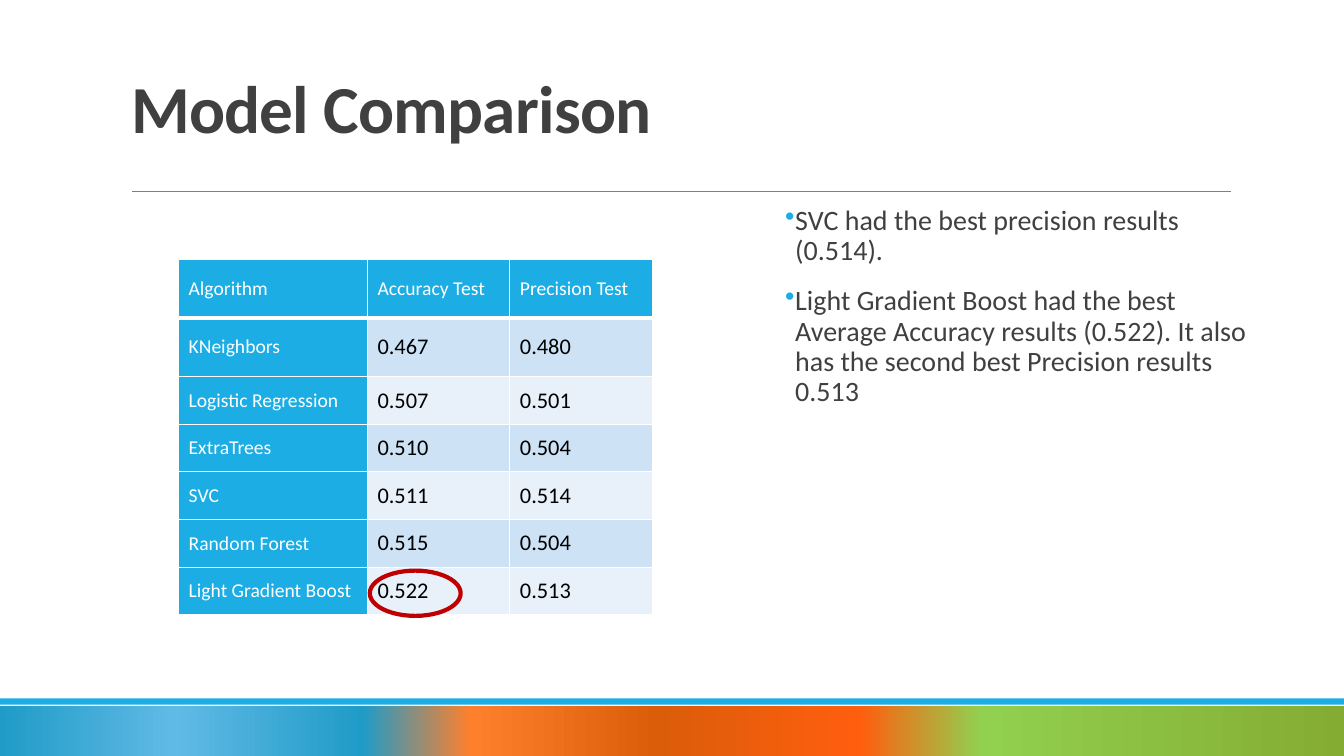
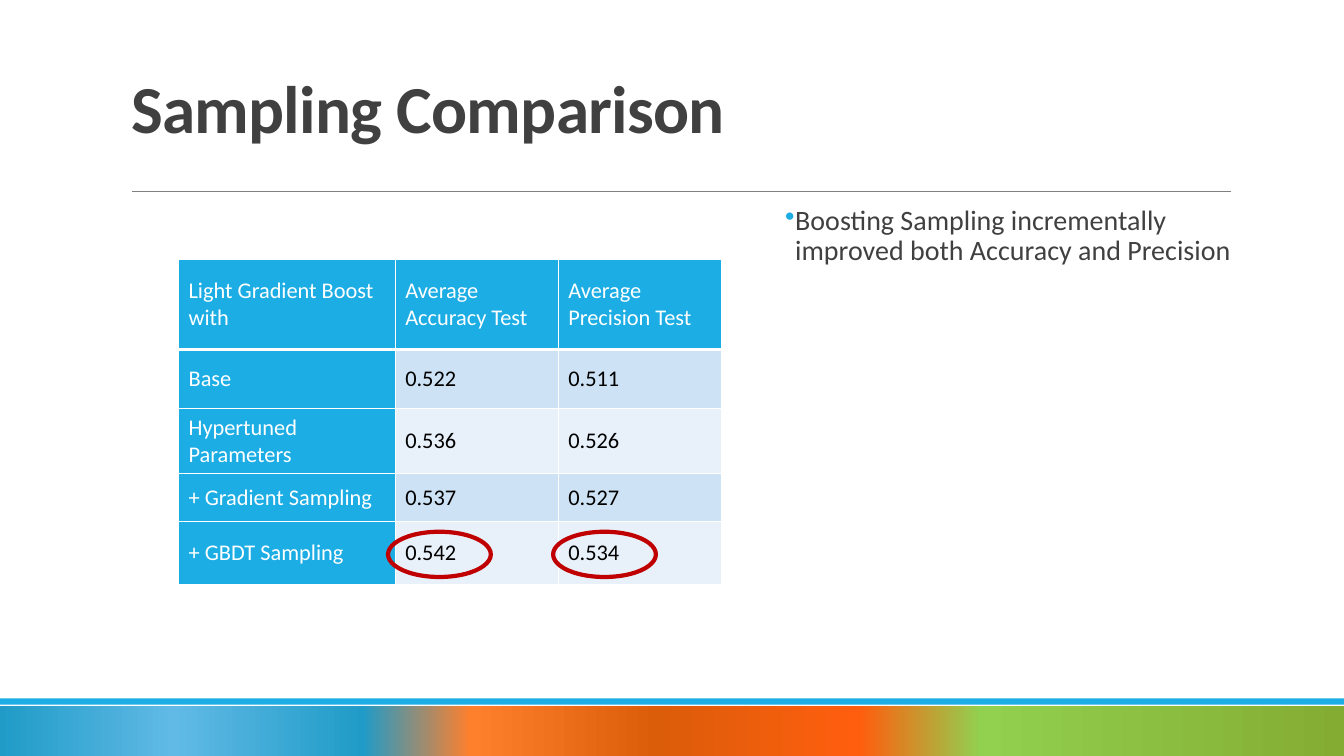
import pptx
import pptx.dml.color
import pptx.enum.shapes
import pptx.enum.text
import pptx.oxml.ns
import pptx.util
from lxml import etree

Cm, Pt = pptx.util.Cm, pptx.util.Pt
RGBColor = pptx.dml.color.RGBColor
SHAPE = pptx.enum.shapes.MSO_SHAPE
ANCHOR = pptx.enum.text.MSO_ANCHOR
qn = pptx.oxml.ns.qn

# Shared style
FONT = "Calibri"
WHITE = RGBColor(0xFF, 0xFF, 0xFF)
BLACK = RGBColor(0x00, 0x00, 0x00)
DARK = RGBColor(0x40, 0x40, 0x40)
GRAY = RGBColor(0x80, 0x80, 0x80)
BLUE = RGBColor(0x1C, 0xAD, 0xE4)
BAND_DARK = RGBColor(0xCD, 0xE3, 0xF5)
BAND_LIGHT = RGBColor(0xE8, 0xF1, 0xFA)
RED = RGBColor(0xC0, 0x00, 0x00)
FOOTER_STOPS = [
    (0, RGBColor(0x84, 0xAC, 0x32)), (27, RGBColor(0x92, 0xD0, 0x50)),
    (36, RGBColor(0xFF, 0x5E, 0x0E)), (51, RGBColor(0xDB, 0x5D, 0x0A)),
    (65, RGBColor(0xFE, 0x80, 0x2D)), (73, RGBColor(0x20, 0x9B, 0xC7)),
    (87, RGBColor(0x61, 0xBA, 0xE6)), (100, RGBColor(0x20, 0x9B, 0xC7)),
]
SLIDE_W, SLIDE_H = Cm(33.87), Cm(19.05)
TABLE_LEFT, TABLE_TOP = Cm(4.5), Cm(6.53)

# Content
MODEL_ROWS = [
    ("Algorithm", "Accuracy Test", "Precision Test"),
    ("KNeighbors", "0.467", "0.480"),
    ("Logistic Regression", "0.507", "0.501"),
    ("ExtraTrees", "0.510", "0.504"),
    ("SVC", "0.511", "0.514"),
    ("Random Forest", "0.515", "0.504"),
    ("Light Gradient Boost", "0.522", "0.513"),
]
MODEL_NOTES = [
    "SVC had the best precision results (0.514).",
    "Light Gradient Boost had the best Average Accuracy results (0.522). "
    "It also has the second best Precision results 0.513",
]
SAMPLING_ROWS = [
    ("Light Gradient Boost\nwith", "Average Accuracy Test",
     "Average\nPrecision Test"),
    ("Base", "0.522", "0.511"),
    ("Hypertuned Parameters", "0.536", "0.526"),
    ("+ Gradient Sampling", "0.537", "0.527"),
    ("+ GBDT Sampling", "0.542", "0.534"),
]
SAMPLING_NOTES = [
    "Boosting Sampling incrementally improved both Accuracy and Precision",
]


def format_runs(tf, size, color, bold=False):
    for p in tf.paragraphs:
        for r in p.runs:
            r.font.name = FONT
            r.font.size = Pt(size)
            r.font.bold = bold
            r.font.color.rgb = color


def add_solid(parent, color):
    fill = etree.SubElement(parent, qn("a:solidFill"))
    etree.SubElement(fill, qn("a:srgbClr"), val=str(color))


def add_bar(s, top, height):
    sp = s.shapes.add_shape(SHAPE.RECTANGLE, 0, top, SLIDE_W, height)
    sp.shadow.inherit = False
    sp.line.fill.background()
    return sp


def add_frame(s):
    # Multicolour footer, its blue edge and the rule below the title
    footer = add_bar(s, Cm(17.78), Cm(1.27))
    footer.fill.gradient()
    footer.fill.gradient_angle = 180
    stops = footer.element.spPr.find(".//" + qn("a:gsLst"))
    for gs in list(stops):
        stops.remove(gs)
    for percent, color in FOOTER_STOPS:
        gs = etree.SubElement(stops, qn("a:gs"), pos=str(percent * 1000))
        etree.SubElement(gs, qn("a:srgbClr"), val=str(color))

    edge = add_bar(s, Cm(17.6), Cm(0.16))
    edge.fill.solid()
    edge.fill.fore_color.rgb = BLUE

    rule = s.shapes.add_connector(pptx.enum.shapes.MSO_CONNECTOR.STRAIGHT,
                                  Cm(3.33), Cm(4.83), Cm(31.01), Cm(4.83))
    rule.line.color.rgb = GRAY
    rule.line.width = Pt(0.5)
    etree.SubElement(rule.element.spPr, qn("a:effectLst"))


def set_title(s, text):
    sp = s.shapes.title
    sp.left, sp.top, sp.width, sp.height = Cm(3.05), Cm(0.79), Cm(27.94), Cm(3.05)
    tf = sp.text_frame
    tf.text = text
    tf.word_wrap = True
    tf.auto_size = pptx.enum.text.MSO_AUTO_SIZE.NONE
    tf.vertical_anchor = ANCHOR.BOTTOM
    p = tf.paragraphs[0]
    p.alignment = pptx.enum.text.PP_ALIGN.LEFT
    p.line_spacing = 0.85
    format_runs(tf, 48, DARK, bold=True)
    p.runs[0].font._element.set("spc", "-50")


def set_borders(cell, is_header):
    tcPr = cell._tc.get_or_add_tcPr()
    for side in "LRTB":
        width = Pt(3) if is_header and side == "B" else Pt(1)
        ln = etree.SubElement(tcPr, qn("a:ln" + side), w=str(width))
        add_solid(ln, WHITE)


def add_results_table(s, rows, col_widths, row_heights, label_size):
    """Lengths are in centimetres; labels fill the first row and column."""
    frame = s.shapes.add_table(len(rows), len(col_widths), TABLE_LEFT, TABLE_TOP,
                               Cm(sum(col_widths)), Cm(sum(row_heights)))
    table = frame.table
    table.first_col = True
    for col, width in zip(table.columns, col_widths):
        col.width = Cm(width)
    for i, (values, height) in enumerate(zip(rows, row_heights)):
        table.rows[i].height = Cm(height)
        for j, value in enumerate(values):
            cell = table.cell(i, j)
            cell.text_frame.text = value
            cell.vertical_anchor = ANCHOR.MIDDLE
            set_borders(cell, i == 0)
            cell.fill.solid()
            if i == 0 or j == 0:
                cell.fill.fore_color.rgb = BLUE
                format_runs(cell.text_frame, label_size, WHITE)
            else:
                cell.fill.fore_color.rgb = BAND_DARK if i % 2 else BAND_LIGHT
                format_runs(cell.text_frame, 16, BLACK)


def add_bullets(s, lines):
    sp = s.shapes.add_textbox(Cm(19.79), Cm(5.08), Cm(11.76), Cm(12.09))
    tf = sp.text_frame
    tf.text = "\n".join(lines)
    tf.word_wrap = True
    tf.margin_left = tf.margin_right = 0
    for p in tf.paragraphs:
        p.line_spacing = 0.9
        p.space_before, p.space_after = Pt(12), Pt(2)
        pPr = p._p.get_or_add_pPr()
        pPr.set("marL", str(Cm(0.25)))
        pPr.set("indent", str(-Cm(0.25)))
        color = etree.SubElement(pPr, qn("a:buClr"))
        etree.SubElement(color, qn("a:srgbClr"), val=str(BLUE))
        etree.SubElement(pPr, qn("a:buChar"), char="•")
    format_runs(tf, 20, DARK)


def add_highlight(s, left, top, width):
    sp = s.shapes.add_shape(SHAPE.OVAL, Cm(left), Cm(top), Cm(width), Cm(1.14))
    sp.shadow.inherit = False
    sp.fill.background()
    sp.line.color.rgb = RED
    sp.line.width = Pt(3)


def add_slide(prs, title):
    s = prs.slides.add_slide(prs.slide_layouts[5])
    add_frame(s)
    set_title(s, title)
    return s


def main():
    prs = pptx.Presentation()
    prs.slide_width, prs.slide_height = SLIDE_W, SLIDE_H

    # Model comparison
    s = add_slide(prs, "Model Comparison")
    add_results_table(s, MODEL_ROWS, [4.76, 3.59, 3.59],
                      [1.48] * 2 + [1.2] * 5, label_size=14)
    add_bullets(s, MODEL_NOTES)
    add_highlight(s, 9.32, 14.38, 2.29)

    # Sampling comparison
    s = add_slide(prs, "Sampling Comparison")
    add_results_table(s, SAMPLING_ROWS, [5.46, 4.11, 4.11],
                      [2.28, 1.49, 1.63, 1.2, 1.6], label_size=16)
    add_bullets(s, SAMPLING_NOTES)
    for left in (9.78, 13.94):
        add_highlight(s, left, 13.4, 2.59)

    prs.save("out.pptx")


if __name__ == "__main__":
    main()
